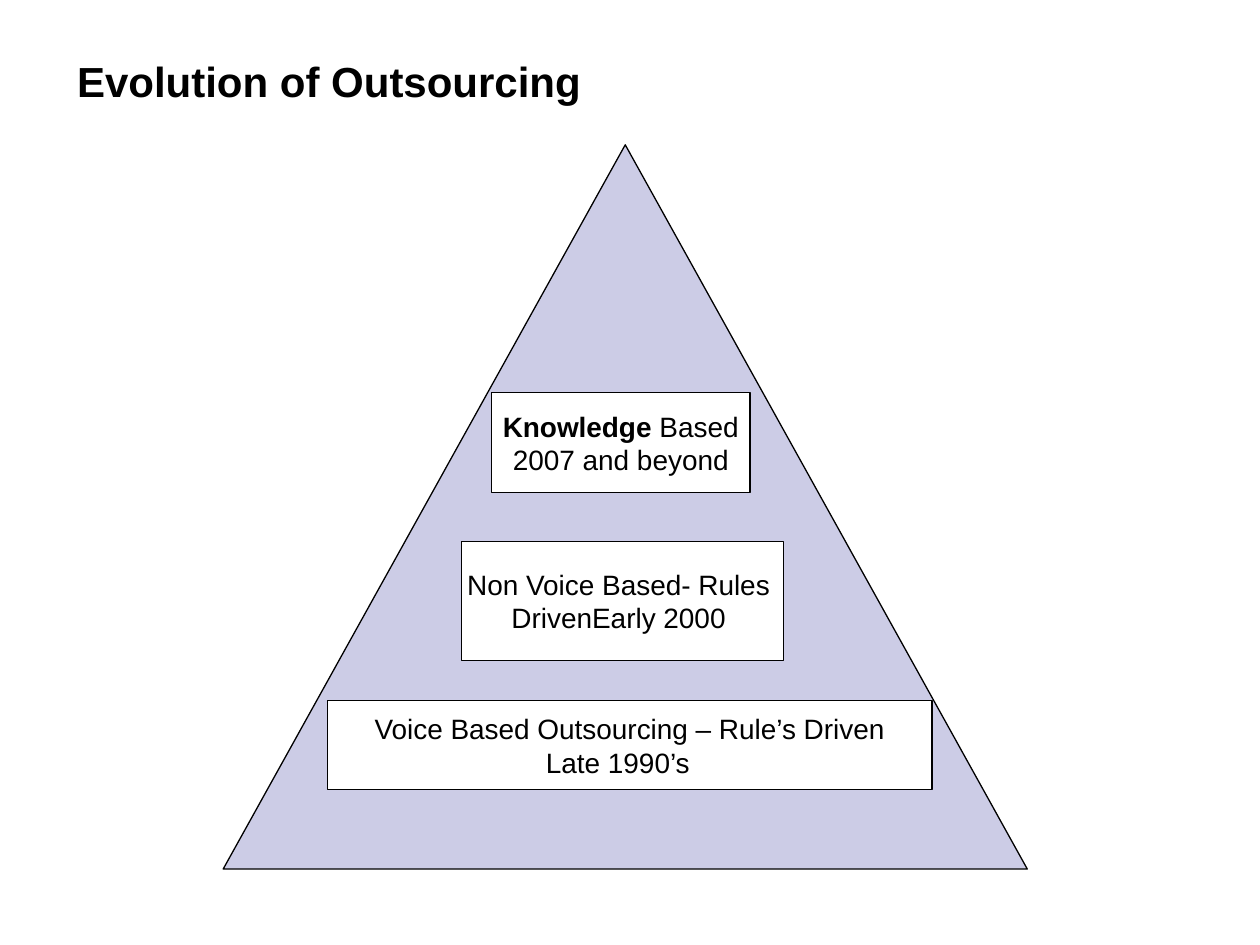
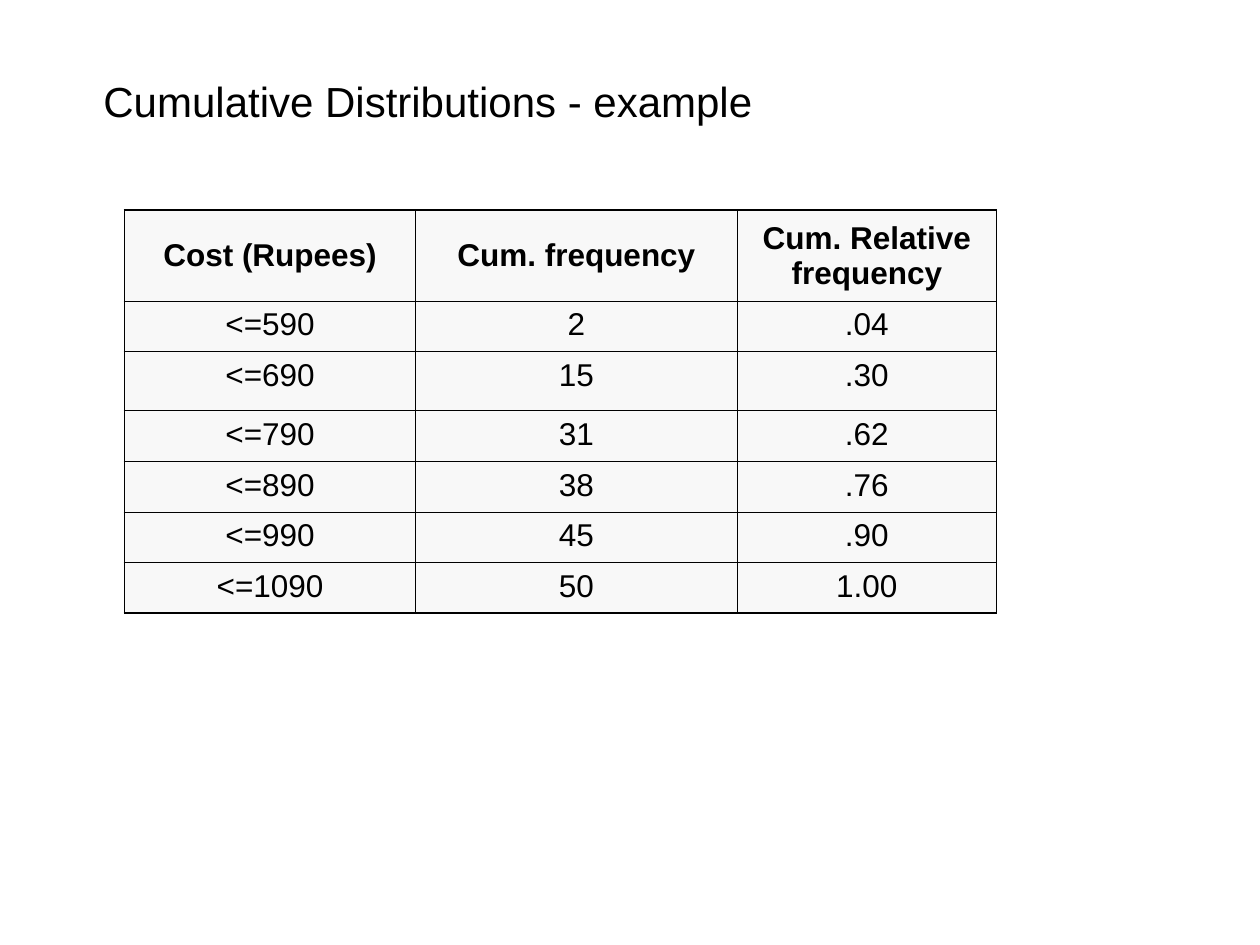
from lxml import etree
from pptx import Presentation
from pptx.dml.color import RGBColor
from pptx.enum.shapes import MSO_SHAPE
from pptx.enum.text import MSO_ANCHOR, MSO_AUTO_SIZE, PP_ALIGN
from pptx.oxml.ns import qn
from pptx.util import Cm, Pt

LEFT, CENTER = PP_ALIGN.LEFT, PP_ALIGN.CENTER
TOP, MIDDLE = MSO_ANCHOR.TOP, MSO_ANCHOR.MIDDLE
FIXED = MSO_AUTO_SIZE.NONE
PEAK, RECT = MSO_SHAPE.ISOSCELES_TRIANGLE, MSO_SHAPE.RECTANGLE
FONT = "Arial"
COLORS = {"ink": "000000", "lilac": "CCCCE6", "white": "FFFFFF", "cell": "F8F8F8"}


def write(para, text, size, bold=False, align=CENTER):
    para.alignment = align
    run = para.add_run()
    run.text = text
    run.font.name = FONT
    run.font.size = Pt(size)
    run.font.bold = bold
    run.font.color.rgb = RGBColor.from_string(COLORS["ink"])


def draw(slide, kind, box, color):
    shape = slide.shapes.add_shape(kind, *map(Cm, box))
    shape.shadow.inherit = False
    shape.fill.solid()
    shape.fill.fore_color.rgb = RGBColor.from_string(COLORS[color])
    shape.line.color.rgb = RGBColor.from_string(COLORS["ink"])
    shape.line.width = Pt(0.75)
    return shape


deck = Presentation()
deck.slide_width, deck.slide_height = Cm(25.4), Cm(19.05)

titles = [
    ("Evolution of Outsourcing", True, (1.3, 0.99, 11.4, 1.27)),
    ("Cumulative Distributions - example", False, (1.83, 1.5, 23.14, 1.04)),
]
for text, bold, box in titles:
    slide = deck.slides.add_slide(deck.slide_layouts[5])
    title = slide.shapes.title
    title.left, title.top, title.width, title.height = map(Cm, box)
    frame = title.text_frame
    frame.auto_size = FIXED
    frame.vertical_anchor = MIDDLE
    write(frame.paragraphs[0], text, 24, bold, LEFT)

first, second = deck.slides

draw(first, PEAK, (4.5, 2.92, 16.21, 14.6), "lilac")
stages = [
    ((6.6, 14.12, 12.19, 1.8), 0.48,
     [[("Voice Based Outsourcing – Rule’s Driven", False)], [("Late 1990’s", False)]]),
    ((9.3, 10.92, 6.5, 2.39), 0,
     [[("Non Voice Based- Rules ", False)], [("DrivenEarly 2000 ", False)]]),
    ((9.91, 7.92, 5.21, 2.01), 0,
     [[("Knowledge", True), (" Based", False)], [("2007 and beyond", False)]]),
]
for box, margin, lines in stages:
    frame = draw(first, RECT, box, "white").text_frame
    frame.word_wrap = False
    frame.vertical_anchor = MIDDLE
    frame.add_paragraph()
    for para, line in zip(frame.paragraphs, lines):
        for text, bold in line:
            write(para, text, 16, bold)
    if margin:
        para._p.get_or_add_pPr().set("marR", str(Cm(margin)))

rows = [
    ("Cost (Rupees)", "Cum. frequency", "Cum. Relative frequency"),
    ("<=590", "2", ".04"),
    ("<=690", "15", ".30"),
    ("<=790", "31", ".62"),
    ("<=890", "38", ".76"),
    ("<=990", "45", ".90"),
    ("<=1090", "50", "1.00"),
]
widths = [5.87, 6.48, 5.23]
heights = [1.83, 1.02, 1.19] + [1.02] * 4
last_row, last_col = len(rows) - 1, len(widths) - 1
table = second.shapes.add_table(
    len(rows), len(widths), Cm(2.51), Cm(4.24), Cm(sum(widths)), Cm(sum(heights))
).table
for col, width in zip(table.columns, widths):
    col.width = Cm(width)
for r, values in enumerate(rows):
    table.rows[r].height = Cm(heights[r])
    for c, text in enumerate(values):
        cell = table.cell(r, c)
        cell.vertical_anchor = TOP if r else MIDDLE
        cell.fill.solid()
        cell.fill.fore_color.rgb = RGBColor.from_string(COLORS["cell"])
        para = cell.text_frame.paragraphs[0]
        para.space_before = Pt(4.5)
        write(para, text, 18, r == 0)
        props = cell._tc.get_or_add_tcPr()
        outer = [c == 0, c == last_col, r == 0, r == last_row]
        for i, side in enumerate("LRTB"):
            edge = etree.Element(qn("a:ln" + side), w=str(Pt(1.08 if outer[i] else 0.45)))
            fill = etree.SubElement(edge, qn("a:solidFill"))
            etree.SubElement(fill, qn("a:srgbClr"), val=COLORS["ink"])
            props.insert(i, edge)

deck.save("out.pptx")
